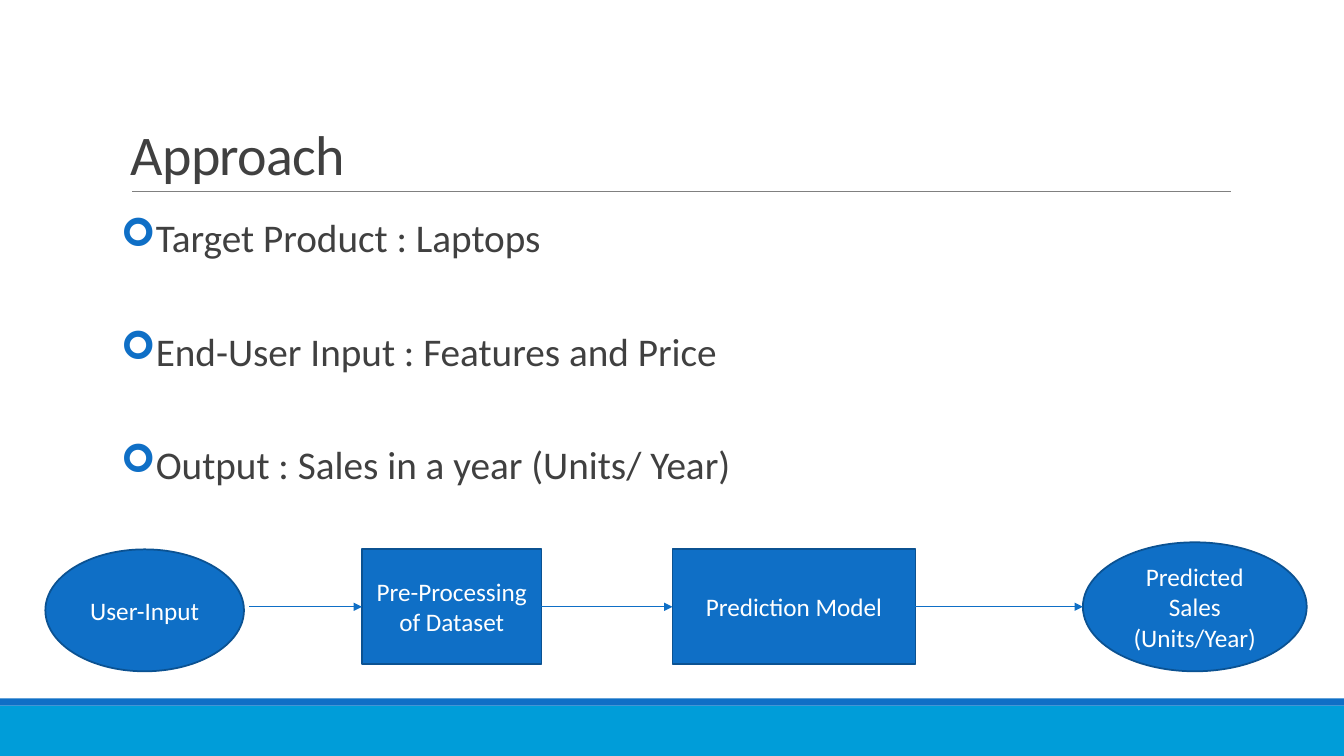
from lxml import etree
from pptx import Presentation
from pptx import util as u
from pptx.dml.color import RGBColor
from pptx.enum import shapes, text
from pptx.oxml.ns import qn

WIDE, HIGH = 13.33, 7.5
BLUE, SKY, NAVY, GREY, INK = "0F6FC6", "009DD9", "0B5292", "808080", "404040"
RECT, OVAL = shapes.MSO_SHAPE.RECTANGLE, shapes.MSO_SHAPE.OVAL

POINTS = [
    "Target Product : Laptops",
    "End-User Input : Features and Price",
    "Output : Sales in a year (Units/ Year)",
]
# form, label, left, top, width, height
STEPS = [
    (OVAL, "User-Input", 0.45, 5.45, 1.97, 1.21),
    (RECT, "Pre-Processing of Dataset", 3.59, 5.45, 1.78, 1.14),
    (RECT, "Prediction Model", 6.67, 5.45, 2.41, 1.14),
    (OVAL, "Predicted Sales (Units/Year)", 10.74, 5.38, 2.22, 1.28),
]


def inch(*nums):
    return [u.Inches(n) for n in nums]


def paint(part, color):
    """Fill a shape or colour a font's fill with a hex colour."""
    part.fill.solid()
    part.fill.fore_color.rgb = RGBColor.from_string(color)


def style(item, **vals):
    for name, val in vals.items():
        setattr(item, name, val)


def block(slide, form, box, color, edge=None):
    shape = slide.shapes.add_shape(form, *inch(*box))
    shape.shadow.inherit = False
    paint(shape, color)
    if edge:
        paint(shape.line, edge)
        shape.line.width = u.Pt(1.25)
    else:
        shape.line.fill.background()
    return shape


def rule(slide, start, end, color, width, arrow=False):
    line = slide.shapes.add_connector(
        shapes.MSO_CONNECTOR.STRAIGHT, *inch(*start, *end))
    paint(line.line, color)
    line.line.width = u.Pt(width)
    if arrow:
        etree.SubElement(line.line._get_or_add_ln(), qn("a:tailEnd"),
                         type="triangle")
    etree.SubElement(line._element.spPr, qn("a:effectLst"))


def write(para, words, size, color):
    run = para.add_run()
    run.text = words
    style(run.font, name="Calibri", size=u.Pt(size))
    paint(run.font, color)
    return run


def bullet(para, mark, color):
    props = para._p.get_or_add_pPr()
    props.set("marL", str(u.Inches(0.1)))
    props.set("indent", str(u.Inches(-0.1)))
    tint = etree.SubElement(props, qn("a:buClr"))
    etree.SubElement(tint, qn("a:srgbClr"), val=color)
    etree.SubElement(props, qn("a:buFont"), typeface="Wingdings")
    etree.SubElement(props, qn("a:buChar"), char=mark)


def footer(slide, top, depth):
    strip = 0.07
    block(slide, RECT, (0, top + strip, WIDE, depth - strip), SKY)
    block(slide, RECT, (0, top, WIDE, strip), BLUE)


def title(slide, words, left, top, width, height):
    base = top + height
    rule(slide, (left + 0.11, base), (left + width + 0.01, base), GREY, 0.5)
    frame = slide.shapes.add_textbox(
        *inch(left, top, width, height)).text_frame
    style(frame, word_wrap=True, vertical_anchor=text.MSO_ANCHOR.BOTTOM)
    para = frame.paragraphs[0]
    para.line_spacing = 0.85
    run = write(para, words, 40, INK)
    run.font._element.set("spc", "-50")


def body(slide, points, *box):
    frame = slide.shapes.add_textbox(*inch(*box)).text_frame
    style(frame, word_wrap=True, margin_left=0, margin_right=0)
    for i, words in enumerate(points):
        para = frame.add_paragraph() if i else frame.paragraphs[0]
        style(para, line_spacing=0.8, space_after=u.Pt(54))
        bullet(para, "➢", BLUE)
        write(para, words, 28, INK)


def flow(slide, steps, axis):
    """Draw the steps and join neighbours with arrows at height axis."""
    for form, label, *box in steps:
        frame = block(slide, form, box, BLUE, NAVY).text_frame
        style(frame, word_wrap=True, vertical_anchor=text.MSO_ANCHOR.MIDDLE)
        para = frame.paragraphs[0]
        para.alignment = text.PP_ALIGN.CENTER
        write(para, label, 18, "FFFFFF")
    for i, (step, after) in enumerate(zip(steps, steps[1:])):
        gap = 0 if i else 0.05
        start = step[2] + step[4] + gap
        rule(slide, (start, axis), (after[2], axis), BLUE, 1, arrow=True)


def main():
    deck = Presentation()
    style(deck, slide_width=u.Inches(WIDE), slide_height=u.Inches(HIGH))
    slide = deck.slides.add_slide(deck.slide_layouts[6])
    footer(slide, 6.93, HIGH - 6.93)
    title(slide, "Approach", 1.2, 0.79, 11, 1.11)
    body(slide, POINTS, 1.2, 2.16, 11.5, 2.9)
    flow(slide, STEPS, 6.02)
    deck.save("out.pptx")


if __name__ == "__main__":
    main()
